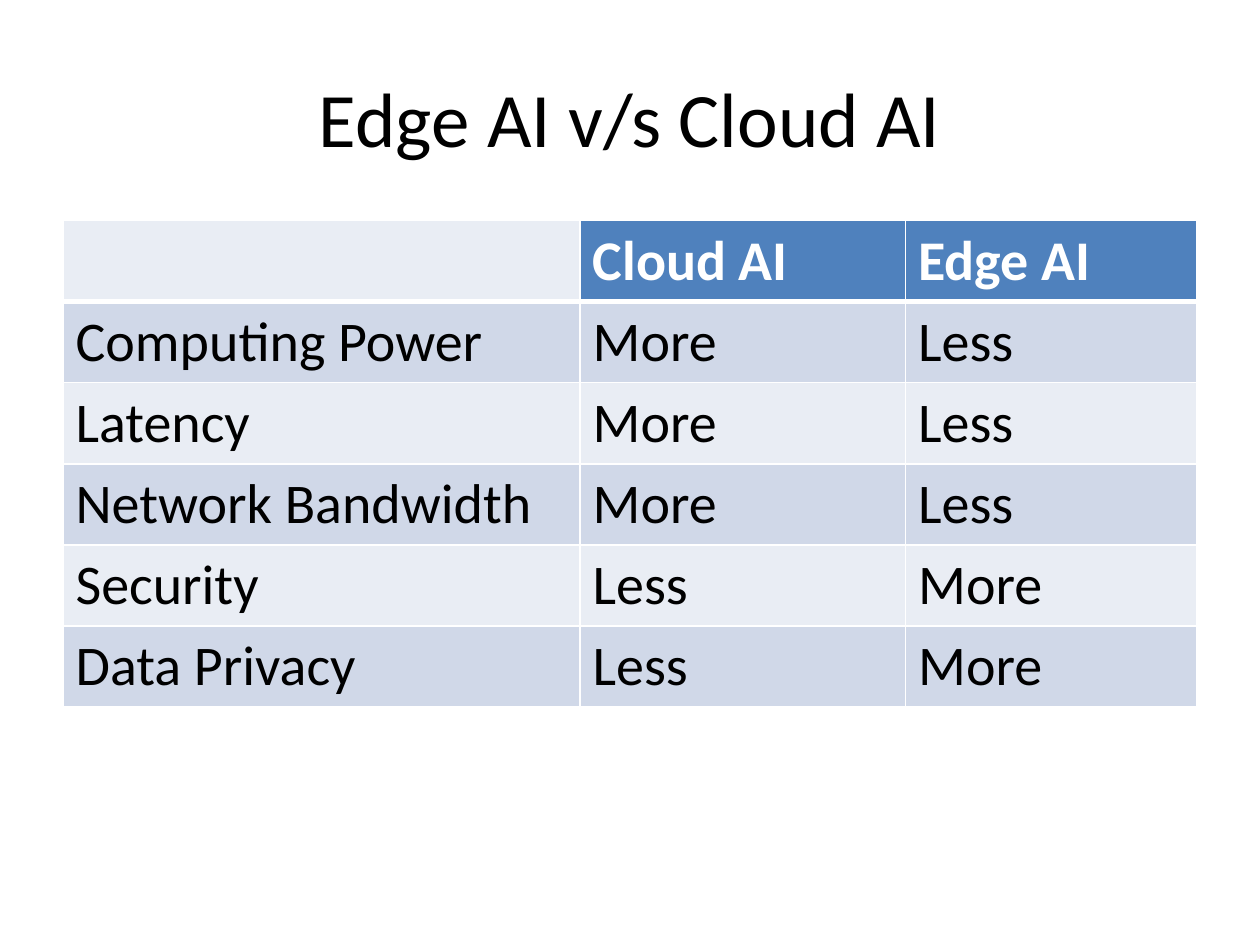
from lxml import etree
from pptx import Presentation
from pptx.dml.color import RGBColor
from pptx.enum.text import MSO_ANCHOR, PP_ALIGN
from pptx.oxml.ns import qn
from pptx.util import Pt

CENTER = PP_ALIGN.CENTER
MIDDLE = MSO_ANCHOR.MIDDLE

# Content
TITLE = "Edge AI v/s Cloud AI"
ROWS = [
    ("", "Cloud AI", "Edge AI"),
    ("Computing Power", "More", "Less"),
    ("Latency", "More", "Less"),
    ("Network Bandwidth", "More", "Less"),
    ("Security", "Less", "More"),
    ("Data Privacy", "Less", "More"),
]

# Style
COLORS = {
    "text": "000000",
    "header": "4F81BD",
    "header_text": "FFFFFF",
    "odd_row": "D0D8E8",
    "even_row": "E9EDF4",
    "border": "FFFFFF",
}
FONT = "Calibri"
LEFT, WIDTH = 36, 648
TABLE_TOP, ROW_HEIGHT = 126, 46
COLUMN_WIDTHS = (295.5, 186, 166.5)


def add_run(paragraph, text, size, color, bold=False):
    run = paragraph.add_run()
    run.text = text
    run.font.name = FONT
    run.font.size = Pt(size)
    run.font.bold = bold
    run.font.color.rgb = RGBColor.from_string(COLORS[color])


def set_borders(cell, widths):
    """Draw the left, right, top and bottom lines, which precede the fill."""
    properties = cell._tc.get_or_add_tcPr()
    for index, (side, width) in enumerate(zip("LRTB", widths)):
        line = etree.Element(qn(f"a:ln{side}"), w=str(Pt(width)))
        fill = etree.SubElement(line, qn("a:solidFill"))
        etree.SubElement(fill, qn("a:srgbClr"), val=COLORS["border"])
        properties.insert(index, line)


presentation = Presentation()
presentation.slide_width, presentation.slide_height = Pt(720), Pt(540)
slide = presentation.slides.add_slide(presentation.slide_layouts[5])

# Title
title = slide.shapes.title
title.left, title.top, title.width, title.height = Pt(LEFT), Pt(21.6), Pt(WIDTH), Pt(90)
title.text_frame.vertical_anchor = MIDDLE
title_paragraph = title.text_frame.paragraphs[0]
title_paragraph.alignment = CENTER
add_run(title_paragraph, TITLE, 44, "text")

# Comparison table
table = slide.shapes.add_table(
    len(ROWS), len(COLUMN_WIDTHS), Pt(LEFT), Pt(TABLE_TOP), Pt(WIDTH), Pt(ROW_HEIGHT * len(ROWS))
).table
for column, width in zip(table.columns, COLUMN_WIDTHS):
    column.width = Pt(width)

for row_index, values in enumerate(ROWS):
    is_header = row_index == 0
    band = "odd_row" if row_index % 2 else "even_row"
    top = 3 if row_index == 1 else 1
    bottom = 3 if is_header else 1
    for column_index, value in enumerate(values):
        cell = table.cell(row_index, column_index)
        cell.fill.solid()
        fill = "header" if is_header and value else band
        cell.fill.fore_color.rgb = RGBColor.from_string(COLORS[fill])
        set_borders(cell, (1, 1, top, bottom))
        if value:
            color = "header_text" if is_header else "text"
            add_run(cell.text_frame.paragraphs[0], value, 32, color, is_header)

presentation.save("out.pptx")
